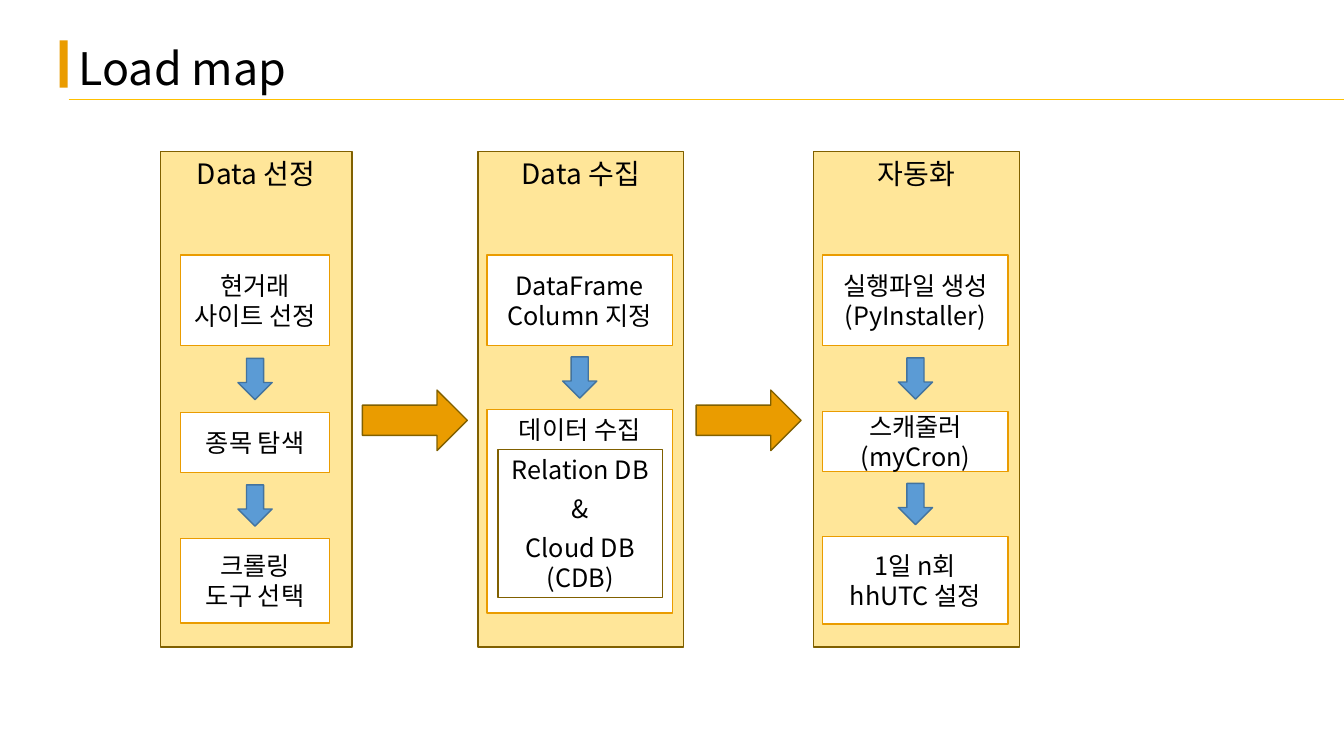
from pptx import Presentation, util as u
from pptx.dml.color import RGBColor
from pptx.enum import shapes, text
from pptx.oxml import ns
from lxml import etree

TITLE = "Load map"
COLUMNS = [
    {"heading": "Data 선정", "left": 1.59, "width": 1.9, "step_width": 1.48, "steps": [
        (["현거래", "사이트 선정"], 2.53, 0.9),
        (["종목 탐색"], 4.09, 0.6),
        (["크롤링", "도구 선택"], 5.34, 0.84)]},
    {"heading": "Data 수집", "left": 4.74, "width": 2.04, "step_width": 1.84, "steps": [
        (["DataFrame", "Column 지정"], 2.53, 0.9),
        (["데이터 수집"], 4.06, 2.02)]},
    {"heading": "자동화", "left": 8.07, "width": 2.04, "step_width": 1.84, "steps": [
        (["실행파일 생성", "(PyInstaller)"], 2.53, 0.9),
        (["스캐줄러", "(myCron)"], 4.08, 0.6),
        (["1일 n회", "hhUTC 설정"], 5.32, 0.87)]},
]
STORAGE = ["Relation DB", "&", "Cloud DB", "(CDB)"]
STORAGE_BOX = (4.94, 4.46, 1.63, 1.47)
STORAGE_GAPS = [0, 6, 6, 0]

FONT = "Noto Sans CJK KR"
WIDTH, HEIGHT = 13.33, 7.5
COLUMN_TOP, COLUMN_HEIGHT = 1.5, 4.92
DOWN_SIZE, RIGHT_SIZE, RIGHT_TOP = (0.34, 0.41), (1.04, 0.6), 3.87
RULE_LEFT, RULE_TOP = 0.68, 0.99

BLACK = RGBColor(0, 0, 0)
WHITE = RGBColor(255, 255, 255)
CREAM = RGBColor(0xFF, 0xE6, 0x99)
BROWN = RGBColor(0x80, 0x60, 0x00)
ORANGE = RGBColor(0xEA, 0x9C, 0x00)
GOLD = RGBColor(0xFF, 0xC0, 0x00)
BLUE = RGBColor(0x5B, 0x9B, 0xD5)
NAVY = RGBColor(0x43, 0x73, 0x9E)

RECTANGLE = shapes.MSO_SHAPE.RECTANGLE
TOP, MIDDLE, BOTTOM = (text.MSO_ANCHOR.TOP, text.MSO_ANCHOR.MIDDLE,
                       text.MSO_ANCHOR.BOTTOM)
CENTER, LEFT = text.PP_ALIGN.CENTER, text.PP_ALIGN.LEFT


def apply(target, values):
    for name, value in values.items():
        setattr(target, name, value)


def write(shape, lines, size, anchor, alignment=CENTER, gaps=None, line_spacing=None):
    frame = shape.text_frame
    apply(frame, {"text": "\n".join(lines), "word_wrap": True,
                  "auto_size": text.MSO_AUTO_SIZE.NONE, "vertical_anchor": anchor})
    for paragraph, gap in zip(frame.paragraphs, gaps or [0] * len(lines)):
        apply(paragraph, {"alignment": alignment, "space_before": u.Pt(gap),
                          "line_spacing": line_spacing})
        for run in paragraph.runs:
            apply(run.font, {"name": FONT, "size": u.Pt(size)})
            run.font.color.rgb = BLACK
            latin = run.font._element.find(ns.qn("a:latin"))
            latin.addnext(etree.Element(ns.qn("a:ea"), typeface=FONT))


def add_box(slide, kind, box, fill, line=None):
    shape = slide.shapes.add_shape(kind, *map(u.Inches, box))
    shape.shadow.inherit = False
    shape.fill.solid()
    shape.fill.fore_color.rgb = fill
    if line is None:
        shape.line.fill.background()
    else:
        shape.line.color.rgb = line
        shape.line.width = u.Pt(1)
    return shape


def add_title(slide):
    title = slide.shapes.title
    apply(title, dict(zip(("left", "top", "width", "height"),
                          map(u.Inches, (RULE_LEFT, 0.4, WIDTH - RULE_LEFT, 0.59)))))
    write(title, [TITLE], 32, BOTTOM, LEFT, line_spacing=0.9)
    add_box(slide, RECTANGLE, (0.59, 0.4, 0.08, 0.47), ORANGE)
    rule = slide.shapes.add_connector(
        shapes.MSO_CONNECTOR.STRAIGHT,
        *map(u.Inches, (RULE_LEFT, RULE_TOP, WIDTH, RULE_TOP)))
    rule.line.color.rgb = GOLD
    rule.line.width = u.Pt(0.5)
    etree.SubElement(rule._element.spPr, ns.qn("a:effectLst"))
    rule._element.remove(rule._element.find(ns.qn("p:style")))


def add_column(slide, column):
    panel = add_box(slide, RECTANGLE, (column["left"], COLUMN_TOP, column["width"],
                                       COLUMN_HEIGHT), CREAM, BROWN)
    write(panel, [column["heading"]], 20, TOP)
    center = column["left"] + column["width"] / 2 - 0.01
    step_width = column["step_width"]
    previous_bottom = None
    for lines, top, height in column["steps"]:
        step = add_box(slide, RECTANGLE, (center - step_width / 2, top, step_width, height),
                       WHITE, ORANGE)
        write(step, lines, 18, TOP if height > 1 else MIDDLE)
        if previous_bottom is not None:
            width, arrow_height = DOWN_SIZE
            arrow_top = (previous_bottom + top - arrow_height) / 2
            add_box(slide, shapes.MSO_SHAPE.DOWN_ARROW,
                    (center - width / 2, arrow_top, width, arrow_height), BLUE, NAVY)
        previous_bottom = top + height


def main():
    presentation = Presentation()
    apply(presentation, {"slide_width": u.Inches(WIDTH), "slide_height": u.Inches(HEIGHT)})
    slide = presentation.slides.add_slide(presentation.slide_layouts[5])
    add_title(slide)
    for column in COLUMNS:
        add_column(slide, column)
    for before, after in zip(COLUMNS, COLUMNS[1:]):
        middle = (before["left"] + before["width"] + after["left"]) / 2
        add_box(slide, shapes.MSO_SHAPE.RIGHT_ARROW,
                (middle - RIGHT_SIZE[0] / 2, RIGHT_TOP, *RIGHT_SIZE), ORANGE, BROWN)
    storage = add_box(slide, RECTANGLE, STORAGE_BOX, WHITE, BROWN)
    write(storage, STORAGE, 18, MIDDLE, gaps=STORAGE_GAPS)
    presentation.save("out.pptx")


if __name__ == "__main__":
    main()
